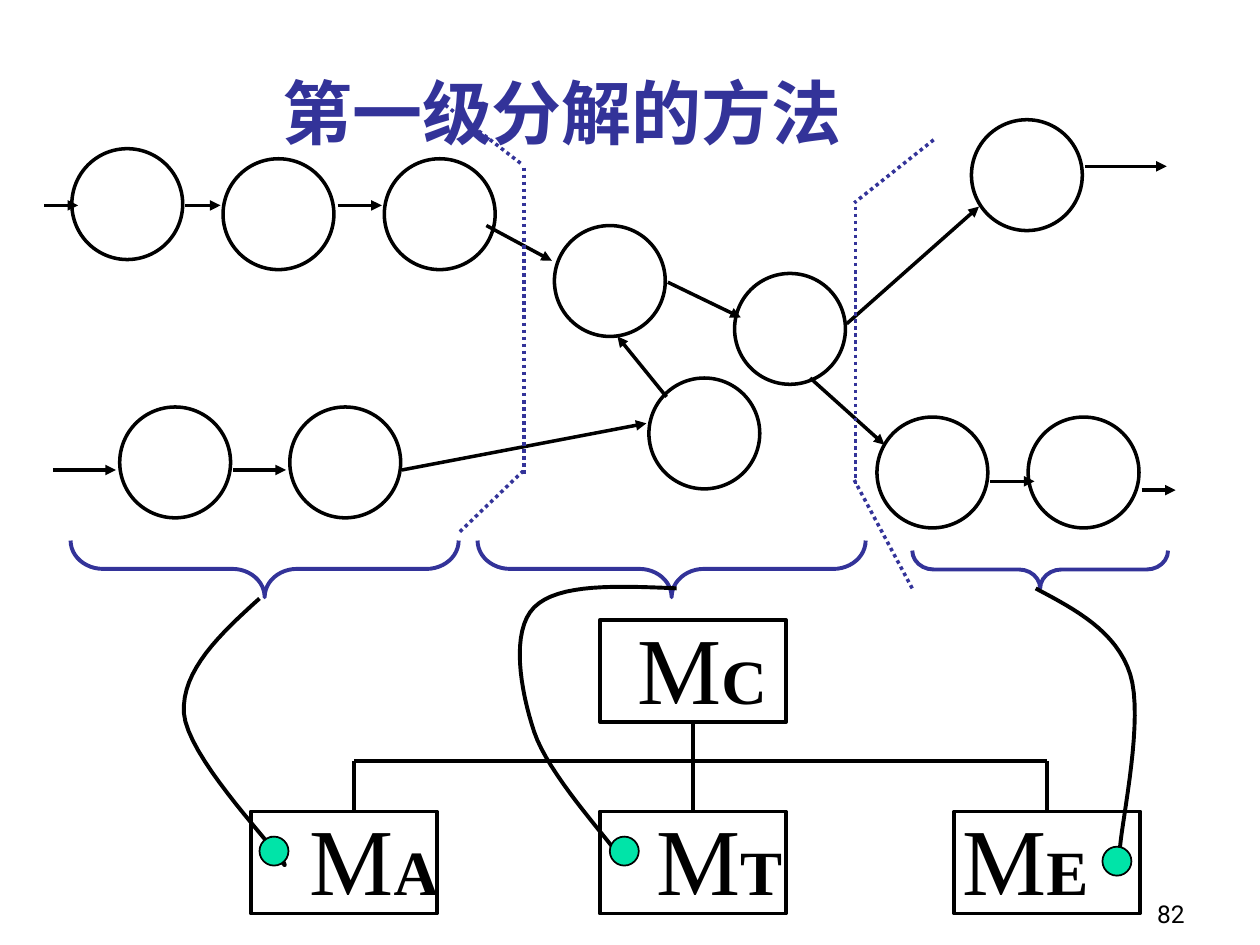
from dataclasses import dataclass

from lxml import etree
from pptx import Presentation
from pptx import util as u
from pptx.dml.color import RGBColor
from pptx.enum import dml, shapes, text
from pptx.oxml.ns import qn

SLIDE_W, SLIDE_H = u.Inches(10), u.Inches(7.5)
COLUMNS, ROWS = 100, 75  # square cells


@dataclass(frozen=True)
class Theme:
    ink: RGBColor = RGBColor(0x00, 0x00, 0x00)
    accent: RGBColor = RGBColor(0x33, 0x33, 0x99)
    paper: RGBColor = RGBColor(0xFF, 0xFF, 0xFF)
    mark: RGBColor = RGBColor(0x00, 0xE4, 0xA8)
    title_font: str = "Noto Sans CJK SC"
    module_font: str = "Times New Roman"
    number_font: str = "Roboto"
    title_size: float = 40
    module_size: float = 54
    suffix_size: float = 36
    number_size: float = 14
    thin: float = 1
    line: float = 2
    thick: float = 2.25


THEME = Theme()

# Data flow diagram: left and top of each process
PROCESS_SIZE = 8.8
PROCESSES = [
    (5.7, 11.8), (17.7, 12.6), (30.5, 12.6), (9.5, 32.3), (23, 32.3),  # input
    (44, 17.9), (58.3, 21.7), (51.5, 30),  # transform
    (77.1, 9.5), (69.6, 33.1), (81.6, 33.1),  # output
]
FLOWS = [
    (3.5, 16.3, 6.2, 16.3), (14.7, 16.3, 17.5, 16.3), (26.8, 16.3, 30.3, 16.3),
    (4.2, 37.3, 9.2, 37.3), (18.5, 37.3, 22.7, 37.3),
    (38.6, 17.9, 43.8, 20.7), (31.9, 37.3, 51.3, 33.6),
    (52.9, 31.5, 49, 26.7), (53, 22.4, 58.8, 25.2),
    (64.3, 30, 70.2, 35.3), (67.2, 25.7, 77.7, 16.4),
    (86.1, 13.2, 92.6, 13.2), (78.6, 38.2, 82.1, 38.2), (90.6, 38.9, 93.3, 38.9),
]
BOUNDARIES = [
    (41.6, 13.3, 41.6, 37.6), (34.9, 8, 41.5, 13.1), (36.5, 42.2, 41.5, 37.4),
    (67.9, 16.4, 67.9, 38.4), (74.1, 11.1, 67.8, 16.1), (72.4, 46.7, 67.8, 38.1),
]
# Left, top, span, depth of the brace under each part
BRACES = [(5.6, 42.9, 30.8, 4.5), (37.9, 42.9, 30.8, 4.5), (72.4, 43.7, 20.3, 3)]

# Structure chart: suffix -> box left, box top, label left
MODULE_W, MODULE_H = 14.8, 8.1
MODULES = {
    "C": (47.6, 49.2, 49.6),
    "T": (47.6, 64.4, 51.1),
    "A": (19.9, 64.4, 23.6),
    "E": (75.7, 64.4, 75.4),
}
BUS_Y, BUS_LEFT = 60.4, 28.1

# Curves from brace to module: start, then cubic segments
LINKS = [
    [(20.6, 47.5), (17.5, 50.3), (14.4, 53.2), (14.6, 56.6),
     (14.9, 60), (21, 66.3), (22.1, 68), (23.2, 69.6), (22.3, 68), (21.4, 66.4)],
    [(53.7, 46.7), (49, 46.5), (44.3, 46.3), (42.4, 48.2),
     (40.5, 50.1), (41.3, 54.8), (42.4, 58.1), (43.5, 61.4), (48, 66.3), (49.2, 68)],
    [(82.2, 46.7), (85.4, 48.4), (88.6, 50.1), (89.7, 53.5),
     (90.8, 57), (89.1, 64.8), (88.9, 67.2)],
]
LINK_ENDS = [(20.6, 66.4), (48.4, 66.4), (87.5, 67.2)]
LINK_END_SIZE = 2.3


def col(n):
    return round(SLIDE_W * n / COLUMNS)


def row(n):
    return round(SLIDE_H * n / ROWS)


def cells(left, top, width, height):
    return col(left), row(top), col(width), row(height)


def style(part, fill, color, width):
    part.shadow.inherit = False
    if fill is None:
        part.fill.background()
    else:
        part.fill.solid()
        part.fill.fore_color.rgb = fill
    part.line.color.rgb = color
    part.line.width = u.Pt(width)


def add_part(slide, preset, box, fill, color=THEME.ink, width=THEME.line):
    part = slide.shapes.add_shape(preset, *cells(*box))
    style(part, fill, color, width)
    return part


def add_line(slide, ends, color=THEME.ink, width=THEME.line, arrow=False, dotted=False):
    x1, y1, x2, y2 = ends
    line = slide.shapes.add_connector(
        shapes.MSO_CONNECTOR.STRAIGHT, col(x1), row(y1), col(x2), row(y2))
    line.line.color.rgb = color
    line.line.width = u.Pt(width)
    if dotted:
        line.line.dash_style = dml.MSO_LINE.ROUND_DOT
    if arrow:
        etree.SubElement(line.line._get_or_add_ln(), qn("a:tailEnd"), type="triangle")
    etree.SubElement(line._element.spPr, qn("a:effectLst"))
    return line


def add_brace(slide, left, top, span, depth):
    # The upright brace is turned about its centre to point down
    upright = (left + (span - depth) / 2, top - (span - depth) / 2, depth, span)
    brace = add_part(slide, shapes.MSO_SHAPE.RIGHT_BRACE, upright, None,
                     THEME.accent, THEME.thick)
    brace.adjustments[0] = span / depth / 12
    brace.rotation = 90


def add_curve(slide, points, steps=16):
    trace = []
    for i in range(0, len(points) - 1, 3):
        for step in range(1, steps + 1):
            t = step / steps
            weights = ((1 - t) ** 3, 3 * t * (1 - t) ** 2, 3 * t * t * (1 - t), t ** 3)
            x, y = (sum(w * p[axis] for w, p in zip(weights, points[i:i + 4]))
                    for axis in (0, 1))
            trace.append((col(x), row(y)))
    builder = slide.shapes.build_freeform(col(points[0][0]), row(points[0][1]))
    builder.add_line_segments(trace, close=False)
    style(builder.convert_to_shape(), None, THEME.ink, THEME.thick)


def add_run(paragraph, words, font, size, color=THEME.ink, bold=False):
    run = paragraph.add_run()
    run.text = words
    run.font.name, run.font.size, run.font.bold = font, u.Pt(size), bold
    run.font.color.rgb = color
    etree.SubElement(run.font._element, qn("a:ea"), typeface=font)


def add_text_box(slide, box, wrap):
    frame = slide.shapes.add_textbox(*cells(*box)).text_frame
    frame.word_wrap = wrap
    return frame


def add_module(slide, suffix, left, top, label_left):
    module = add_part(slide, shapes.MSO_SHAPE.RECTANGLE,
                      (left, top, MODULE_W, MODULE_H), THEME.paper)
    label = add_text_box(slide, (label_left, top - 1.3, 12.3, 10), False).paragraphs[0]
    add_run(label, "M", THEME.module_font, THEME.module_size)
    add_run(label, suffix, THEME.module_font, THEME.suffix_size, bold=True)
    return module


def add_title(slide):
    title = slide.shapes.title
    title.left, title.top, title.width, title.height = cells(19.1, 5, 51, 7.6)
    frame = title.text_frame
    frame.auto_size = text.MSO_AUTO_SIZE.NONE
    frame.vertical_anchor = text.MSO_ANCHOR.TOP
    frame.paragraphs[0].alignment = text.PP_ALIGN.CENTER
    add_run(frame.paragraphs[0], "第一级分解的方法", THEME.title_font,
            THEME.title_size, THEME.accent, True)


def add_page_number(slide):
    frame = add_text_box(slide, (74.2, 69.2, 20.8, 5), True)
    frame.vertical_anchor = text.MSO_ANCHOR.BOTTOM
    frame.paragraphs[0].alignment = text.PP_ALIGN.RIGHT
    add_run(frame.paragraphs[0], "82", THEME.number_font, THEME.number_size)


def add_data_flow(slide):
    for left, top in PROCESSES:
        add_part(slide, shapes.MSO_SHAPE.OVAL,
                 (left, top, PROCESS_SIZE, PROCESS_SIZE), THEME.paper)
    for flow in FLOWS:
        add_line(slide, flow, arrow=True)
    for boundary in BOUNDARIES:
        add_line(slide, boundary, THEME.accent, dotted=True)
    for brace in BRACES:
        add_brace(slide, *brace)


def add_structure(slide):
    modules = {name: add_module(slide, name, *place) for name, place in MODULES.items()}
    middle = MODULES["T"][0] + MODULE_W / 2
    right = MODULES["E"][0] + MODULE_W / 2
    top = MODULES["T"][1]
    add_line(slide, (BUS_LEFT, BUS_Y, right, BUS_Y), width=THEME.thick)
    add_line(slide, (BUS_LEFT, BUS_Y, BUS_LEFT, top), width=THEME.thick)
    trunk = add_line(slide, (middle, BUS_Y, middle, top), width=THEME.thick)
    trunk.begin_connect(modules["C"], 2)
    trunk.end_connect(modules["T"], 0)
    branch = add_line(slide, (right, BUS_Y, right, top), width=THEME.thick)
    branch.end_connect(modules["E"], 0)


def add_links(slide):
    for points, (left, top) in zip(LINKS, LINK_ENDS):
        add_curve(slide, points)
        add_part(slide, shapes.MSO_SHAPE.OVAL, (left, top, LINK_END_SIZE, LINK_END_SIZE),
                 THEME.mark, width=THEME.thin)


def main():
    deck = Presentation()
    deck.slide_width, deck.slide_height = SLIDE_W, SLIDE_H
    slide = deck.slides.add_slide(deck.slide_layouts[5])
    add_title(slide)
    add_data_flow(slide)
    add_structure(slide)
    add_links(slide)
    add_page_number(slide)
    deck.save("out.pptx")


if __name__ == "__main__":
    main()
